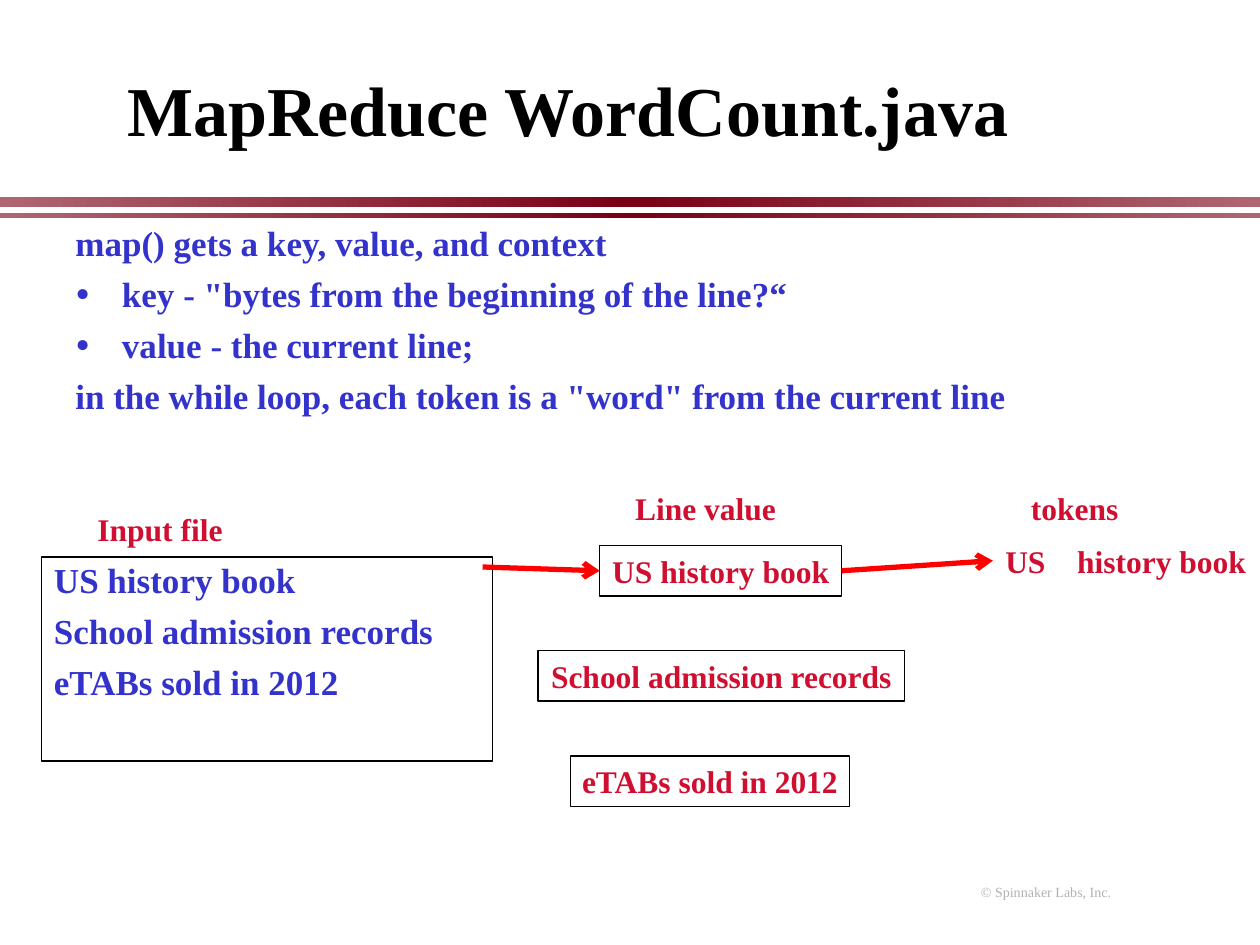
from copy import deepcopy

from pptx import Presentation
from pptx.dml.color import RGBColor
from pptx.enum.shapes import MSO_CONNECTOR, MSO_SHAPE
from pptx.enum.text import MSO_ANCHOR, PP_ALIGN
from pptx.oxml.ns import qn
from pptx.oxml.xmlchemy import OxmlElement
from pptx.util import Inches, Pt

RECTANGLE, STRAIGHT = MSO_SHAPE.RECTANGLE, MSO_CONNECTOR.STRAIGHT
LEFT, CENTER, RIGHT = PP_ALIGN.LEFT, PP_ALIGN.CENTER, PP_ALIGN.RIGHT
TOP, MIDDLE = MSO_ANCHOR.TOP, MSO_ANCHOR.MIDDLE
LEFT_SIDE, RIGHT_SIDE = 1, 3

# Content
TITLE = "MapReduce WordCount.java"
FOOTER = "© Spinnaker Labs, Inc."
BODY = [  # text, bulleted
    ("map() gets a key, value, and context", False),
    ('key - "bytes from the beginning of the line?“', True),
    ("value - the current line;", True),
    ('in the while loop, each token is a "word" from the current line', False),
]
INPUT_LINES = ["US history book", "School admission records", "eTABs sold in 2012"]
LINE_BOXES = [(4.76, 1.92), (4.27, 2.91), (4.53, 2.21)]  # left, width
LABELS = [  # text, center, top
    ("Input file", 1.27, 4.0),
    ("Line value", 5.6, 3.83),
    ("tokens", 8.53, 3.83),
]
TOKENS = "US\thistory book"

# Style and grid
FONT = "Times New Roman"
COLORS = {"title": "000000", "body": "3333CC", "label": "CF0E30", "footer": "B2B2B2",
          "border": "000000", "arrow": "FF0000", "edge": "AF6673", "core": "790015"}
WIDTH, HEIGHT = 10, 7.5
LABEL_WIDTH, LABEL_HEIGHT = 1.6, 0.4
LINE_TOP, LINE_STEP = 4.33, 0.835
INDENT = 0.37
BANDS = [(1.56, 0.08), (1.69, 0.04)]  # top, height


def color(name):
    return RGBColor.from_string(COLORS[name])


def add_text(page, area, lines, ink, size, bold=True, align=LEFT, anchor=TOP,
             wrap=True, border=False):
    place = [Inches(value) for value in area]
    if border:
        box = page.shapes.add_shape(RECTANGLE, *place)
        box.shadow.inherit = False
        box.fill.background()
        box.line.color.rgb = color("border")
        box.line.width = Pt(0.75)
    else:
        box = page.shapes.add_textbox(*place)
    frame = box.text_frame
    frame.text = "\n".join(lines)
    frame.word_wrap = wrap
    frame.vertical_anchor = anchor
    for para in frame.paragraphs:
        para.alignment = align
        for span in para.runs:
            span.font.name, span.font.size, span.font.bold = FONT, Pt(size), bold
            span.font.color.rgb = color(ink)
    return box


def space_lines(box):
    for index, para in enumerate(box.text_frame.paragraphs):
        para.line_spacing = 0.9
        if index:
            para.space_before = Pt(7.5)


def add_child(parent, tag, **attributes):
    child = OxmlElement(tag)
    for name, value in attributes.items():
        child.set(name, value)
    parent.append(child)
    return child


def add_bullet(para):
    props = para._p.get_or_add_pPr()
    props.set("marL", str(Inches(INDENT)))
    props.set("indent", str(-Inches(INDENT)))
    add_child(add_child(props, "a:buClr"), "a:srgbClr", val=COLORS["body"])
    add_child(props, "a:buSzPct", val="120000")
    add_child(props, "a:buFont", typeface=FONT)
    add_child(props, "a:buChar", char="•")


def add_band(page, top, height):
    band = page.shapes.add_shape(RECTANGLE, 0, Inches(top), Inches(WIDTH), Inches(height))
    band.shadow.inherit = False
    band.line.fill.background()
    band.fill.gradient()
    band.fill.gradient_angle = 0
    stops = band._element.spPr.find(qn("a:gradFill")).find(qn("a:gsLst"))
    stops.append(deepcopy(stops[-1]))
    for stop, position, name in zip(band.fill.gradient_stops, (0, 0.5, 1),
                                    ("edge", "core", "edge")):
        stop.position = position
        stop.color.rgb = color(name)


def add_arrow(page, target, source=None, start=(0, 0)):
    x, y = (Inches(value) for value in start)
    arrow = page.shapes.add_connector(STRAIGHT, x, y, x, y)
    if source is not None:
        arrow.begin_connect(source, RIGHT_SIDE)
    arrow.end_connect(target, LEFT_SIDE)
    arrow.line.color.rgb = color("arrow")
    arrow.line.width = Pt(3)
    add_child(arrow.line._get_or_add_ln(), "a:tailEnd", type="arrow")
    add_child(arrow._element.spPr, "a:effectLst")


def main():
    deck = Presentation()
    deck.slide_width, deck.slide_height = Inches(WIDTH), Inches(HEIGHT)
    page = deck.slides.add_slide(deck.slide_layouts[6])

    # Rule, footer and title
    for top, height in BANDS:
        add_band(page, top, height)
    add_text(page, (5.75, 6.83, 3.17, 0.5), [FOOTER], "footer", 8, bold=False,
             align=RIGHT, anchor=MIDDLE)
    title = add_text(page, (0, 0.55, 9.01, 0.71), [TITLE], "title", 40,
                     align=CENTER, anchor=MIDDLE)
    space_lines(title)

    # Explanation
    body = add_text(page, (0.5, 1.75, 9, 1.62), [text for text, _ in BODY], "body", 20)
    space_lines(body)
    for para, (_, bulleted) in zip(body.text_frame.paragraphs, BODY):
        if bulleted:
            add_bullet(para)

    # Input file
    space_lines(add_text(page, (0.33, 4.42, 3.58, 1.62), INPUT_LINES, "body", 20,
                         border=True))

    # One box for each line value
    line_boxes = [
        add_text(page, (left, LINE_TOP + row * LINE_STEP, width, LABEL_HEIGHT), [text],
                 "label", 18, align=CENTER, wrap=False, border=True)
        for row, (text, (left, width)) in enumerate(zip(INPUT_LINES, LINE_BOXES))
    ]

    # Column labels, wide enough for one line, and tokens
    for text, center, top in LABELS:
        add_text(page, (center - LABEL_WIDTH / 2, top, LABEL_WIDTH, LABEL_HEIGHT),
                 [text], "label", 18, align=CENTER)
    tokens = add_text(page, (7.88, 4.25, 2.12, LABEL_HEIGHT), [TOKENS], "label", 18,
                      wrap=False)
    props = tokens.text_frame.paragraphs[0]._p.get_or_add_pPr()
    add_child(add_child(props, "a:tabLst"), "a:tab", pos=str(Inches(0.57)), algn="l")

    # Flow
    add_arrow(page, line_boxes[0], start=(3.83, 4.5))
    add_arrow(page, tokens, source=line_boxes[0])

    deck.save("out.pptx")


if __name__ == "__main__":
    main()
